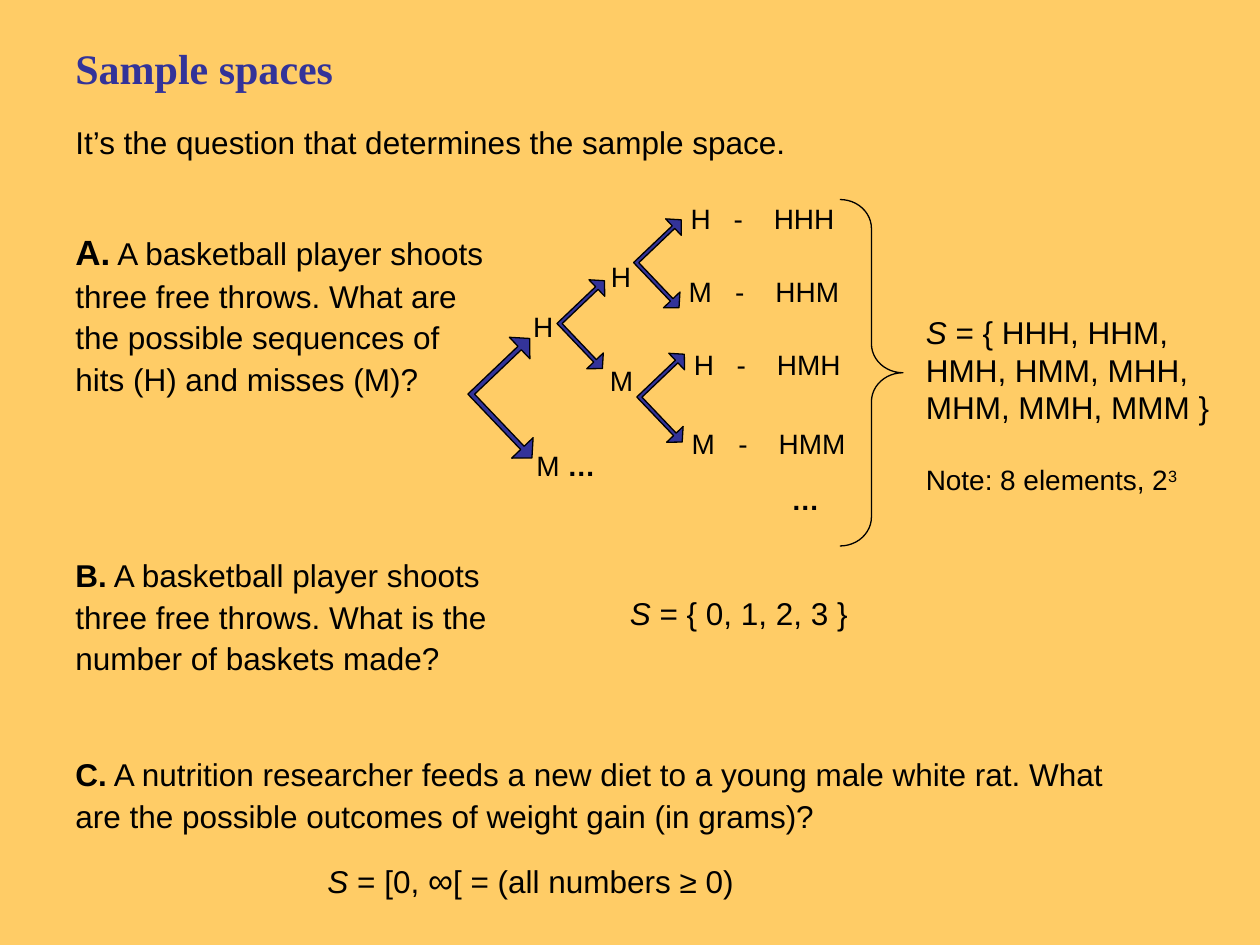
from lxml.etree import SubElement
from pptx import Presentation
from pptx.dml.color import RGBColor
from pptx.enum.shapes import MSO_SHAPE
from pptx.oxml.ns import qn
from pptx.util import Inches, Pt

COLORS = {"background": "FFCC66", "ink": "000000", "accent": "333399"}
COLUMNS = 120  # the slide is a grid of 120 by 90 square cells
CELL = Inches(10) / COLUMNS


def cells(*counts):
    return [round(count * CELL) for count in counts]


def color(name):
    return RGBColor.from_string(COLORS[name])


def add_box(page, left, top, width, height):
    box = page.shapes.add_textbox(*cells(left, top, width, height))
    box.text_frame.word_wrap = True
    return box.text_frame


def add_span(para, text, size=18, font="Arial", ink="ink", bold=False,
             italic=False, raised=False):
    span = para.add_run()
    span.text = text
    span.font.size = Pt(size)
    span.font.name = font
    span.font.color.rgb = color(ink)
    span.font.bold = bold
    span.font.italic = italic
    if raised:
        span.font._element.set("baseline", "30000")


def add_question(page, letter, text, left, top, width, height, letter_size=18):
    frame = add_box(page, left, top, width, height)
    para = frame.paragraphs[0]
    para.line_spacing = 1.1
    add_span(para, letter, size=letter_size, bold=True)
    add_span(para, " " + text)
    return frame


def add_sample_space(para, text):
    add_span(para, "S", italic=True)
    add_span(para, text)


def add_label(page, text, left, top, width=6, bold=False):
    para = add_box(page, left, top, width, 4.4).paragraphs[0]
    add_span(para, text, size=16, bold=bold)
    return para


def add_outcome(page, throw, sequence, left, top):
    """Last throw, a dash and the whole sequence, aligned on two tab stops."""
    para = add_label(page, f"{throw}\t-\t{sequence}", left, top, width=19)
    tabs = SubElement(para._p.get_or_add_pPr(), qn("a:tabLst"))
    shift = 0.03 if throw == "M" else 0
    for stop in (0.34, 0.66):
        SubElement(tabs, qn("a:tab"), pos=str(Inches(stop + shift)), algn="l")


def add_outline(page, preset, area, adjustments, fill=None, rotation=0):
    shape = page.shapes.add_shape(preset, *cells(*area))
    shape.shadow.inherit = False
    shape.rotation = rotation
    for index, value in enumerate(adjustments):
        shape.adjustments[index] = value
    if fill:
        shape.fill.solid()
        shape.fill.fore_color.rgb = color(fill)
    else:
        shape.fill.background()
    shape.line.color.rgb = color("ink")
    shape.line.width = Pt(0.75)


def add_heading(page):
    frame = add_box(page, 6, 3.5, 109, 12)
    add_span(frame.paragraphs[0], "Sample spaces", size=24,
             font="Times New Roman", ink="accent", bold=True)
    para = frame.add_paragraph()
    para.space_before = Pt(17)
    add_span(para, "It’s the question that determines the sample space.")


def add_tree(page):
    forks = [(45, 33, 9.1, 9.8), (53.2, 27.4, 7, 7),
             (60.5, 21.6, 7, 7), (60.8, 34.4, 7, 7)]
    for area in forks:
        add_outline(page, MSO_SHAPE.LEFT_UP_ARROW, area, (0.05, 0.155, 0.145),
                    fill="accent", rotation=136.4)

    add_label(page, "H", 49.6, 28.9)
    add_span(add_label(page, "M ", 49.9, 42.1, width=9), "…", size=16, bold=True)
    add_label(page, "H", 57, 24.1)
    add_label(page, "M", 56.9, 34)
    outcomes = [("H", "HHH", 64.6, 18.6), ("M", "HHM", 64.4, 25.6),
                ("H", "HMH", 64.9, 32.5), ("M", "HMM", 64.7, 40)]
    for outcome in outcomes:
        add_outcome(page, *outcome)
    add_label(page, "…", 74.2, 45.4, bold=True)


def add_tree_answer(page):
    add_outline(page, MSO_SHAPE.RIGHT_BRACE, (80, 19, 6, 33), (0.46, 0.5))
    frame = add_box(page, 87, 29.2, 31, 18.8)
    add_sample_space(frame.paragraphs[0],
                     " = { HHH, HHM, HMH, HMM, MHH, MHM, MMH, MMM }")
    note = frame.add_paragraph()
    note.space_before = Pt(20.7)
    add_span(note, "Note: 8 elements, 2", size=16)
    add_span(note, "3", size=16, raised=True)


def add_weight_question(page):
    frame = add_question(
        page, "C.", "A nutrition researcher feeds a new diet to a young male "
        "white rat. What are the possible outcomes of weight gain (in grams)?",
        6, 71, 104, 15.5)
    answer = frame.add_paragraph()
    answer.line_spacing = 1.1
    answer.space_before = Pt(11.4)
    answer._p.get_or_add_pPr().set("marL", str(Inches(2)))
    add_sample_space(answer, " = [0, ")
    add_span(answer, "∞", size=20)
    add_span(answer, "[ = (all numbers ≥ 0)")


def main():
    deck = Presentation()
    deck.slide_width, deck.slide_height = cells(COLUMNS, 90)
    page = deck.slides.add_slide(deck.slide_layouts[6])
    page.background.fill.solid()
    page.background.fill.fore_color.rgb = color("background")

    add_heading(page)
    add_question(page, "A.", "A basketball player shoots three free throws. What "
                 "are the possible sequences of hits (H) and misses (M)?",
                 6, 21, 42, 17.5, letter_size=20)
    add_tree(page)
    add_tree_answer(page)
    add_question(page, "B.", "A basketball player shoots three free throws. What "
                 "is the number of baskets made?", 6, 52, 46, 13)
    add_sample_space(add_box(page, 58.8, 56, 41, 4.8).paragraphs[0],
                     " = { 0, 1, 2, 3 }")
    add_weight_question(page)
    deck.save("out.pptx")


if __name__ == "__main__":
    main()
